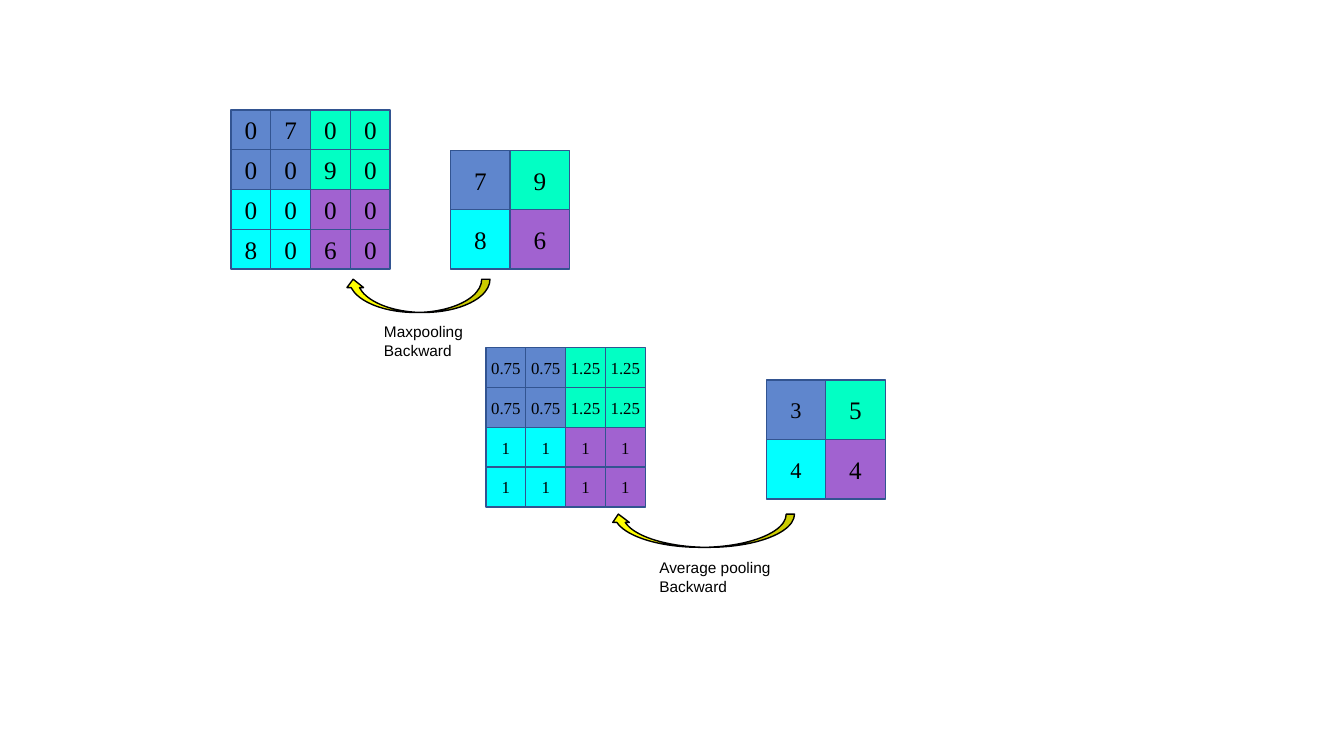
from pptx import Presentation
from pptx.dml.color import RGBColor
from pptx.enum.shapes import MSO_SHAPE
from pptx.enum.text import MSO_ANCHOR, MSO_AUTO_SIZE, PP_ALIGN
from pptx.util import Inches, Pt

QUADRANT_FILLS = [["5F86CD", "02FFC4"], ["02FFFF", "A162D0"]]
GRID_SIDE = 1.58
POOLED_SIDE = 1.18


def color(value):
    return RGBColor.from_string(value)


def add_shape(slide, kind, box, fill, line):
    shape = slide.shapes.add_shape(kind, *map(Inches, box))
    shape.shadow.inherit = False
    shape.fill.solid()
    shape.fill.fore_color.rgb = color(fill)
    shape.line.color.rgb = color(line)
    shape.line.width = Pt(1)
    return shape


def write(frame, text, font, size, align):
    paragraph = frame.paragraphs[0]
    paragraph.alignment = align
    run = paragraph.add_run()
    run.text = text
    run.font.name = font
    run.font.size = Pt(size)
    run.font.color.rgb = color("000000")


def add_matrix(slide, left, top, side, values, column_sizes):
    count = len(values)
    cell = side / count
    for row, line in enumerate(values):
        for column, value in enumerate(line):
            fill = QUADRANT_FILLS[row * 2 // count][column * 2 // count]
            box = (left + column * cell, top + row * cell, cell, cell)
            square = add_shape(slide, MSO_SHAPE.RECTANGLE, box, fill, "325491")
            frame = square.text_frame
            frame.margin_left = frame.margin_right = 0
            frame.margin_top = frame.margin_bottom = 0
            frame.word_wrap = False
            frame.vertical_anchor = MSO_ANCHOR.MIDDLE
            write(frame, value, "Times New Roman", column_sizes[column], PP_ALIGN.CENTER)


def add_caption(slide, box, text):
    frame = slide.shapes.add_textbox(*map(Inches, box)).text_frame
    frame.word_wrap = True
    frame.auto_size = MSO_AUTO_SIZE.SHAPE_TO_FIT_TEXT
    write(frame, text, "Arial", 11, PP_ALIGN.LEFT)


def add_pooling(slide, left, top, gradient, gradient_size, pooled, pooled_sizes,
                pooled_offset, arrow_offset, arrow_width, caption_offset, caption_width, caption):
    def place(offset):
        return left + offset[0], top + offset[1]

    arrow_box = (*place(arrow_offset), arrow_width, 0.33)
    arrow = add_shape(slide, MSO_SHAPE.CURVED_DOWN_ARROW, arrow_box, "FFFF00", "000000")
    arrow.rotation = 180
    add_matrix(slide, left, top, GRID_SIDE, gradient, [gradient_size] * 4)
    add_matrix(slide, *place(pooled_offset), POOLED_SIDE, pooled, pooled_sizes)
    add_caption(slide, (*place(caption_offset), caption_width, 0.47), caption)


prs = Presentation()
prs.slide_width = Inches(13.33)
prs.slide_height = Inches(7.5)
slide = prs.slides.add_slide(prs.slide_layouts[6])

add_pooling(
    slide, 2.29, 1.09,
    gradient=["0700", "0090", "0000", "8060"], gradient_size=18,
    pooled=["79", "86"], pooled_sizes=[18, 18], pooled_offset=(2.18, 0.4),
    arrow_offset=(1.13, 1.68), arrow_width=1.44,
    caption_offset=(1.42, 2.06), caption_width=0.99, caption="Maxpooling Backward")

add_pooling(
    slide, 4.82, 3.45,
    gradient=[["0.75", "0.75", "1.25", "1.25"]] * 2 + ["1111"] * 2, gradient_size=12,
    pooled=["35", "44"], pooled_sizes=[16, 18], pooled_offset=(2.78, 0.32),
    arrow_offset=(1.23, 1.65), arrow_width=1.83,
    caption_offset=(1.62, 2.04), caption_width=1.45, caption="Average pooling Backward")

prs.save("out.pptx")
